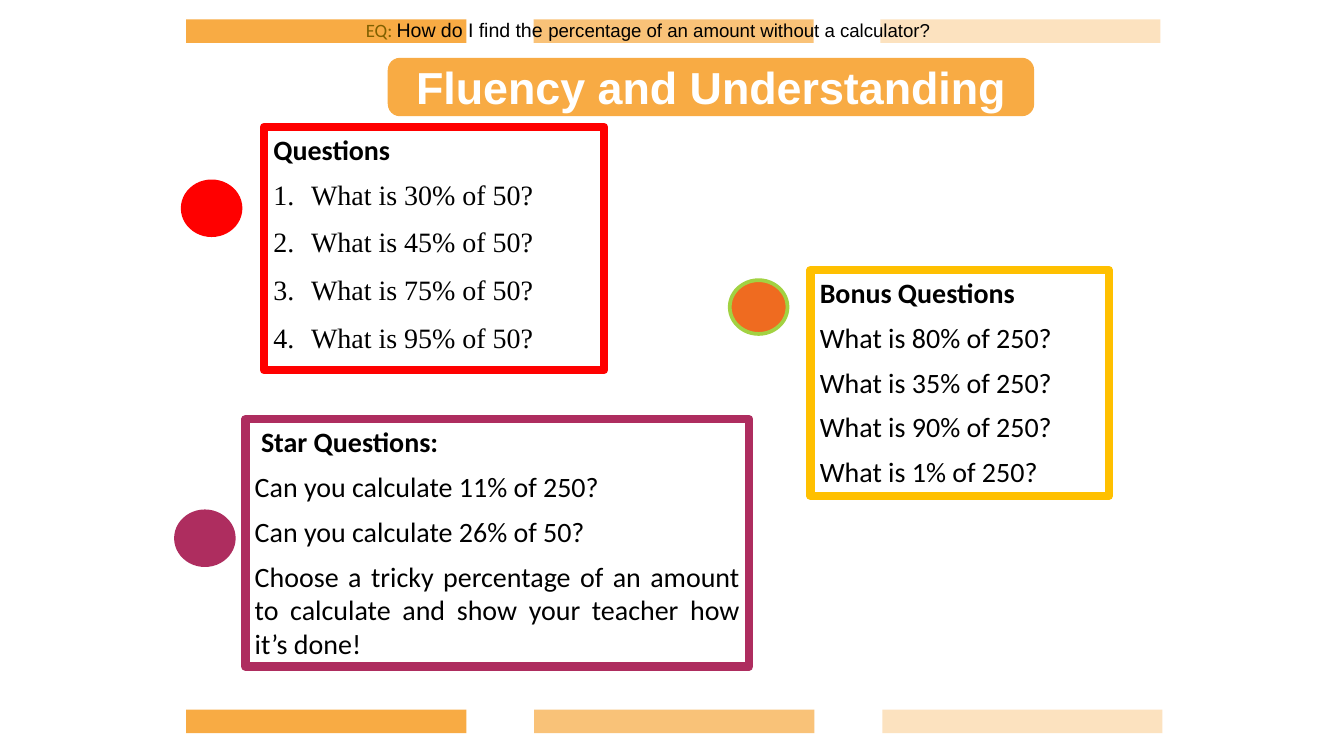
from pptx import Presentation
from pptx.dml.color import RGBColor
from pptx.enum.shapes import MSO_SHAPE
from pptx.enum.text import MSO_ANCHOR, PP_ALIGN
from pptx.oxml.ns import qn
from pptx.util import Pt
from lxml.etree import SubElement

PX = 4572
THEME = {
    "orange": "F8AB44", "red": "FF0000", "yellow": "FFC000", "plum": "AE2D5F",
    "rust": "EF6B20", "lime": "A2D242", "olive": "806000",
    "black": "000000", "white": "FFFFFF",
    "sans": "Arial", "body": "Calibri", "serif": "Times New Roman",
    "title_size": 24, "body_size": 15, "label_size": 10.1,
    "lead_size": 10.5, "tail_size": 10,
}

presentation = Presentation()
presentation.slide_width = 2000 * PX
presentation.slide_height = 1125 * PX
slide = presentation.slides.add_slide(presentation.slide_layouts[6])


def add_box(kind, bounds, fill=None, line=None, width=2, alpha=100):
    shape = slide.shapes.add_shape(kind, *[value * PX for value in bounds])
    shape.shadow.inherit = False
    if fill:
        shape.fill.solid()
        shape.fill.fore_color.rgb = RGBColor.from_string(THEME[fill])
        if alpha < 100:
            color = shape.fill._xPr.find(qn("a:solidFill"))[0]
            SubElement(color, qn("a:alpha"), val=str(alpha * 1000))
    else:
        shape.fill.background()
    if line:
        shape.line.color.rgb = RGBColor.from_string(THEME[line])
        shape.line.width = Pt(width)
    else:
        shape.line.fill.background()
    return shape


def add_text(paragraph, text, font="body", size="body_size", color="black", bold=False,
             align=PP_ALIGN.JUSTIFY, after=0, numbered=False):
    paragraph.alignment = align
    paragraph.space_after = Pt(after)
    if numbered:
        properties = paragraph._p.get_or_add_pPr()
        properties.set("marL", str(56 * PX))
        properties.set("indent", str(-56 * PX))
        SubElement(properties, qn("a:buFont"), typeface=THEME[font])
        SubElement(properties, qn("a:buAutoNum"), type="arabicPeriod")
    run = paragraph.add_run()
    run.text = text
    run.font.name = THEME[font]
    run.font.size = Pt(THEME[size])
    run.font.bold = bold
    run.font.color.rgb = RGBColor.from_string(THEME[color])


for top, lefts in [(29, (277, 794, 1310)), (1056, (277, 795, 1313))]:
    for left, alpha in zip(lefts, (100, 72, 34)):
        add_box(MSO_SHAPE.RECTANGLE, (left, top, 417, 35), fill="orange", alpha=alpha)

title = add_box(MSO_SHAPE.ROUNDED_RECTANGLE, (577, 86, 962, 87), fill="orange")
title.adjustments[0] = 0.21
title.text_frame.vertical_anchor = MSO_ANCHOR.MIDDLE
add_text(title.text_frame.paragraphs[0], "Fluency and Understanding", font="sans",
         size="title_size", color="white", bold=True, align=PP_ALIGN.CENTER)

for left, top, fill, line in [
    (272, 270, "red", "red"),
    (1086, 417, "rust", "lime"),
    (262, 761, "plum", "plum"),
]:
    add_box(MSO_SHAPE.OVAL, (left, top, 86, 80), fill=fill, line=line)

cards = [
    ((393, 189, 506, 362), "red", True, "Questions",
     [f"What is {percent}% of 50?" for percent in (30, 45, 75, 95)]),
    ((1206, 402, 444, 336), "yellow", False, "Bonus Questions",
     [f"What is {percent}% of 250?" for percent in (80, 35, 90, 1)]),
    ((365, 624, 750, 368), "plum", False, " Star Questions:",
     ["Can you calculate 11% of 250? ",
      "Can you calculate 26% of 50?",
      "Choose a tricky percentage of an amount to calculate "
      "and show your teacher how it’s done!"]),
]
for bounds, line, numbered, heading, questions in cards:
    card = add_box(MSO_SHAPE.RECTANGLE, bounds, line=line, width=4.5)
    frame = card.text_frame
    frame.word_wrap = True
    frame.vertical_anchor = MSO_ANCHOR.TOP
    frame.margin_left = frame.margin_right = 14 * PX
    frame.margin_top = frame.margin_bottom = 8 * PX
    add_text(frame.paragraphs[0], heading, bold=True, after=6)
    for question in questions:
        add_text(frame.add_paragraph(), question, font="serif" if numbered else "body",
                 after=7.5 if numbered else 6, numbered=numbered)

essential_question = slide.shapes.add_textbox(500 * PX, 17 * PX, 928 * PX, 90 * PX)
essential_question.text_frame.word_wrap = True
for text, font, size, color in [
    ("EQ: ", "body", "label_size", "olive"),
    ("How do I find the ", "sans", "lead_size", "black"),
    ("percentage of an amount without a calculator?", "sans", "tail_size", "black"),
]:
    add_text(essential_question.text_frame.paragraphs[0], text, font=font, size=size,
             color=color, align=PP_ALIGN.CENTER)

presentation.save("out.pptx")
